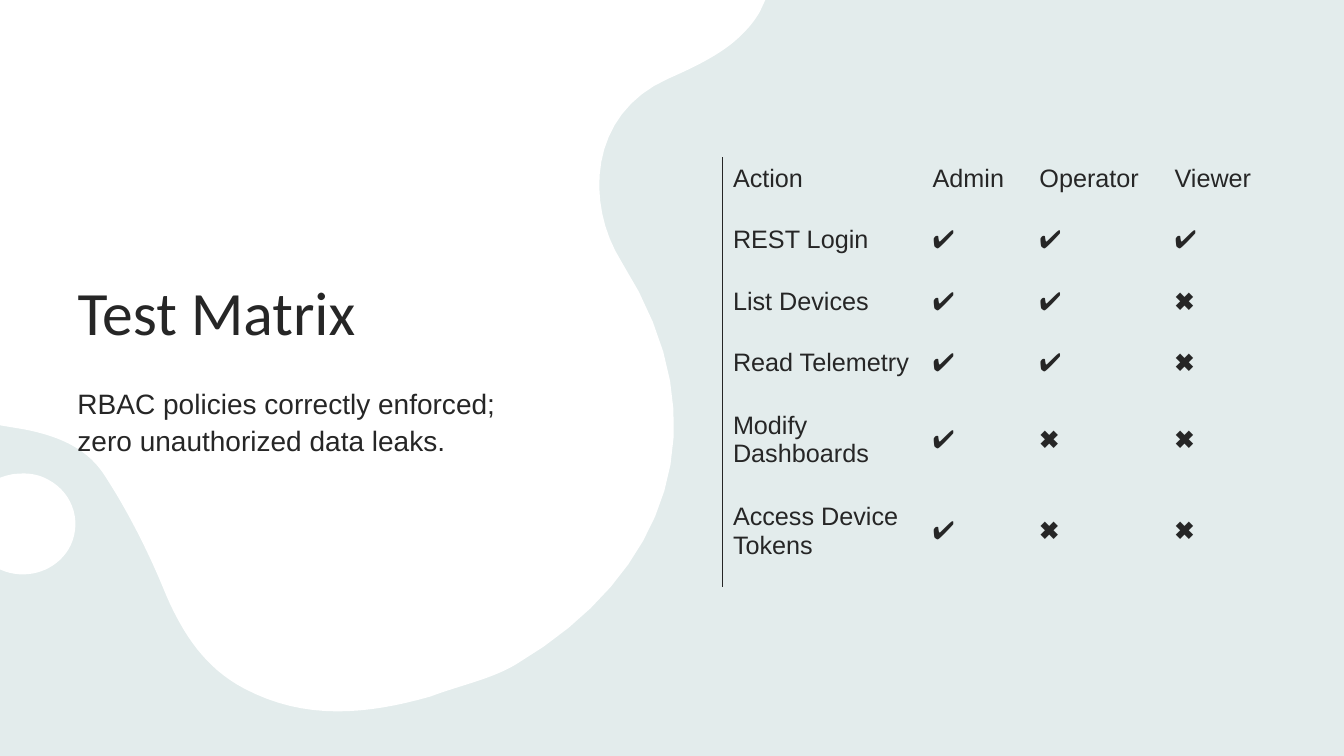
from lxml.etree import SubElement
from pptx import Presentation
from pptx.dml.color import RGBColor
from pptx.enum.text import MSO_ANCHOR, MSO_AUTO_SIZE, PP_ALIGN
from pptx.oxml.ns import qn
from pptx.util import Inches, Pt

COLORS = {"background": "E3ECEC", "blob": "FFFFFF", "text": "262626"}
TITLE = "Test Matrix"
SUMMARY = "RBAC policies correctly enforced; zero unauthorized data leaks."
YES, NO = "✔", "✖"
ROLES = ["Admin", "Operator", "Viewer"]
ACTIONS = [
    ("REST Login", {"Admin", "Operator", "Viewer"}),
    ("List Devices", {"Admin", "Operator"}),
    ("Read Telemetry", {"Admin", "Operator"}),
    ("Modify Dashboards", {"Admin"}),
    ("Access Device Tokens", {"Admin"}),
]
COLUMN_WIDTHS = [1.98, 1.06, 1.34, 1.11]
ROW_HEIGHTS = [0.61] * 4 + [0.91] * 2
TABLE_LEFT, TABLE_TOP = 7.17, 1.56
CELL_FORMAT = {
    "margin_left": Inches(0.1), "margin_top": Inches(0.03),
    "margin_right": Inches(0.07), "margin_bottom": Inches(0.22),
    "vertical_anchor": MSO_ANCHOR.MIDDLE,
}
NO_STYLE_NO_GRID = "{2D5ABB26-0587-4C30-8999-92F81FD0307C}"

BLOB = [
    [(0, 0)], [(7.59, 0)], [(7.54, 0.11)],
    [(7.5, 0.18), (7.45, 0.25), (7.39, 0.31)],
    [(7.2, 0.52), (6.9, 0.66), (6.63, 0.78)],
    [(5.83, 1.13), (5.81, 2.03), (6.16, 2.59)],
    [(7.2, 4.22), (6.61, 5.71), (5.12, 6.59)],
    [(4.87, 6.74), (4.56, 6.8), (4.27, 6.91)],
    [(3.64, 7.09), (3.02, 7.15), (2.42, 6.83)],
    [(2.04, 6.63), (1.82, 6.3), (1.65, 5.91)],
    [(1.48, 5.49), (1.27, 5.07), (1.02, 4.69)],
    [(0.84, 4.43), (0.55, 4.32), (0.24, 4.26)],
    [(0, 4.22)],
]
DROP = [
    [(0.18, 4.7)],
    [(0.29, 4.69), (0.39, 4.71), (0.48, 4.76)],
    [(0.74, 4.9), (0.82, 5.21), (0.68, 5.45)],
    [(0.55, 5.66), (0.29, 5.75), (0.05, 5.67)],
    [(0, 5.65)], [(0, 4.74)], [(0.06, 4.72)],
    [(0.1, 4.71), (0.14, 4.7), (0.18, 4.7)],
]
CURVE_STEPS = 16


def color(name):
    return RGBColor.from_string(COLORS[name])


def apply(target, values):
    for name, value in values.items():
        setattr(target, name, value)


def trace(outline):
    points = list(outline[0])
    for step in outline[1:]:
        if len(step) == 1:
            points += step
            continue
        corners = [points[-1], *step]
        for index in range(1, CURVE_STEPS + 1):
            t = index / CURVE_STEPS
            weights = [(1 - t) ** 3, 3 * t * (1 - t) ** 2, 3 * t * t * (1 - t), t ** 3]
            points.append(tuple(
                sum(weight * corner[axis] for weight, corner in zip(weights, corners))
                for axis in (0, 1)
            ))
    return [(Inches(x), Inches(y)) for x, y in points]


def add_outlines(page, outlines):
    builder = None
    for outline in outlines:
        points = trace(outline)
        if builder is None:
            builder = page.shapes.build_freeform(*points[0])
        else:
            builder.move_to(*points[0])
        builder.add_line_segments(points[1:], close=True)
    shape = builder.convert_to_shape()
    shape.shadow.inherit = False
    shape.fill.solid()
    shape.fill.fore_color.rgb = color("blob")
    shape.line.fill.background()
    return shape


def write(frame, text, size, font="Arial"):
    para = frame.paragraphs[0]
    para.alignment = PP_ALIGN.LEFT
    span = para.add_run()
    span.text = text
    apply(span.font, {"name": font, "size": Pt(size), "bold": text == NO})
    span.font.color.rgb = color("text")
    return para


def add_left_border(cell):
    properties = cell._tc.get_or_add_tcPr()
    line = SubElement(properties, qn("a:lnL"), w=str(Pt(0.75)))
    fill = SubElement(line, qn("a:solidFill"))
    SubElement(fill, qn("a:srgbClr"), val=COLORS["text"])
    properties.insert(0, line)


def add_matrix(page):
    rows = [["Action", *ROLES]]
    rows += [[action, *(YES if role in allowed else NO for role in ROLES)]
             for action, allowed in ACTIONS]
    table = page.shapes.add_table(
        len(rows), len(COLUMN_WIDTHS), Inches(TABLE_LEFT), Inches(TABLE_TOP),
        Inches(sum(COLUMN_WIDTHS)), Inches(sum(ROW_HEIGHTS))).table
    apply(table, {"first_row": False, "horz_banding": False})
    table._tbl.tblPr.find(qn("a:tableStyleId")).text = NO_STYLE_NO_GRID
    for column, width in zip(table.columns, COLUMN_WIDTHS):
        column.width = Inches(width)
    for row, height, texts in zip(table.rows, ROW_HEIGHTS, rows):
        row.height = Inches(height)
        for cell, text in zip(row.cells, texts):
            apply(cell, CELL_FORMAT)
            cell.fill.background()
            write(cell.text_frame, text, 18)
        add_left_border(row.cells[0])


def main():
    deck = Presentation()
    apply(deck, {"slide_width": Inches(13.33), "slide_height": Inches(7.5)})
    page = deck.slides.add_slide(deck.slide_layouts[5])
    page.background.fill.solid()
    page.background.fill.fore_color.rgb = color("background")

    title = page.shapes.title
    title.element.addprevious(add_outlines(page, [DROP, BLOB]).element)
    apply(title, {"left": Inches(0.67), "top": Inches(0.73),
                  "width": Inches(4.7), "height": Inches(2.78)})
    apply(title.text_frame, {"vertical_anchor": MSO_ANCHOR.BOTTOM, "word_wrap": True,
                             "auto_size": MSO_AUTO_SIZE.NONE})
    write(title.text_frame, TITLE, 44, "Calibri").line_spacing = 0.9

    summary = page.shapes.add_textbox(Inches(0.67), Inches(3.75), Inches(4.62), Inches(1.5))
    summary.text_frame.word_wrap = True
    apply(write(summary.text_frame, SUMMARY, 20),
          {"line_spacing": 1.1, "space_before": Pt(10)})

    add_matrix(page)
    deck.save("out.pptx")


if __name__ == "__main__":
    main()
